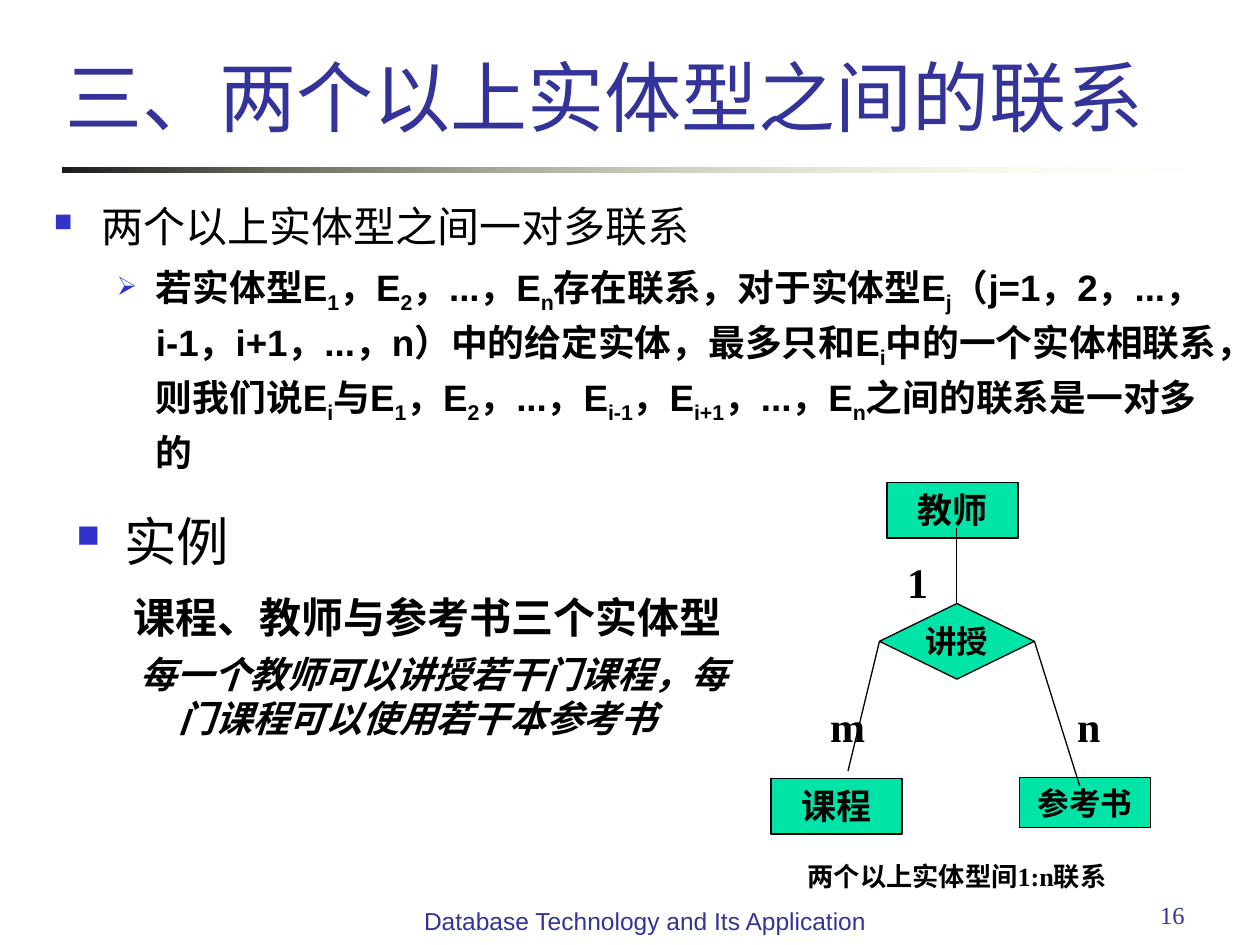
from dataclasses import dataclass

from lxml import etree
from pptx import Presentation
from pptx.dml.color import RGBColor
from pptx.enum.shapes import MSO_CONNECTOR, MSO_SHAPE
from pptx.enum.text import MSO_ANCHOR, MSO_AUTO_SIZE, PP_ALIGN
from pptx.oxml.ns import qn
from pptx.util import Inches, Pt

RECT, DIAMOND = MSO_SHAPE.RECTANGLE, MSO_SHAPE.DIAMOND
STRAIGHT = MSO_CONNECTOR.STRAIGHT
LEFT, CENTER, RIGHT = PP_ALIGN.LEFT, PP_ALIGN.CENTER, PP_ALIGN.RIGHT
TOP, MIDDLE, BOTTOM = MSO_ANCHOR.TOP, MSO_ANCHOR.MIDDLE, MSO_ANCHOR.BOTTOM
FIXED = MSO_AUTO_SIZE.NONE

COLUMNS, ROWS = 100, 75
PAGE_WIDTH, PAGE_HEIGHT = Inches(10), Inches(7.5)


@dataclass(frozen=True)
class Theme:
    sans: str = "Arial"
    serif: str = "Times New Roman"
    heading: str = "333399"
    bullet: str = "3333CC"
    ink: str = "000000"
    node: str = "00E4A8"
    rule_start: str = "1C1C1C"
    rule_end: str = "FFFFB7"
    title: int = 44
    example: int = 30
    topic: int = 24
    detail: int = 21
    entity: int = 20
    small_entity: int = 18
    caption: int = 15
    footer: int = 14


THEME = Theme()


@dataclass(frozen=True)
class Box:
    left: float
    top: float
    width: float
    height: float

    def inner(self, left, top, width, height):
        return Box(self.left + left, self.top + top, width, height)

    def place(self):
        return (across(self.left), down(self.top),
                across(self.width), down(self.height))


def across(columns):
    return int(PAGE_WIDTH * columns / COLUMNS)


def down(rows):
    return int(PAGE_HEIGHT * rows / ROWS)


def color(value):
    return RGBColor.from_string(value)


def add_span(para, text, size, font=THEME.sans, ink=THEME.ink,
             bold=False, italic=False, baseline=0):
    span = para.add_run()
    span.text = text
    span.font.name, span.font.size = font, Pt(size)
    span.font.bold, span.font.italic = bold, italic
    span.font.color.rgb = color(ink)
    if baseline:
        span.font._element.set("baseline", str(baseline * 1000))


def format_para(para, margin, indent, before, spacing=1.0, level=0):
    para.level = level
    para.space_before, para.line_spacing = Pt(before), spacing
    props = para._p.get_or_add_pPr()
    props.set("marL", str(across(margin)))
    props.set("indent", str(across(indent)))


def add_bullet(para, mark, percent):
    props = para._p.get_or_add_pPr()
    paint = etree.SubElement(props, qn("a:buClr"))
    etree.SubElement(paint, qn("a:srgbClr"), val=THEME.bullet)
    etree.SubElement(props, qn("a:buSzPct"), val=str(percent * 1000))
    etree.SubElement(props, qn("a:buChar"), char=mark)


def add_frame(shapes, box):
    frame = shapes.add_textbox(*box.place()).text_frame
    frame.word_wrap = True
    return frame


def add_label(shapes, box, text, size, align=LEFT, wrap=True, **style):
    frame = add_frame(shapes, box)
    frame.word_wrap = wrap
    frame.paragraphs[0].alignment = align
    add_span(frame.paragraphs[0], text, size, **style)


def add_node(shapes, kind, box, text, size):
    node = shapes.add_shape(kind, *box.place())
    node.shadow.inherit = False
    node.fill.solid()
    node.fill.fore_color.rgb = color(THEME.node)
    node.line.color.rgb, node.line.width = color(THEME.ink), Pt(0.75)
    frame = node.text_frame
    frame.word_wrap = kind == RECT
    frame.vertical_anchor = TOP if kind == RECT else MIDDLE
    frame.paragraphs[0].alignment = CENTER
    add_span(frame.paragraphs[0], text, size, font=THEME.serif, bold=True)


def add_link(shapes, box, start, end):
    link = shapes.add_connector(
        STRAIGHT,
        across(box.left + start[0]), down(box.top + start[1]),
        across(box.left + end[0]), down(box.top + end[1]))
    link.line.color.rgb, link.line.width = color(THEME.ink), Pt(0.75)
    etree.SubElement(link._element.spPr, qn("a:effectLst"))


def draw_rule(page, box):
    rule = page.shapes.add_shape(RECT, *box.place())
    rule.shadow.inherit = False
    rule.line.fill.background()
    rule.fill.gradient()
    rule.fill.gradient_angle = 0
    first, last = rule.fill.gradient_stops
    first.position, last.position = 0, 1
    first.color.rgb = color(THEME.rule_start)
    last.color.rgb = color(THEME.rule_end)
    fade = rule._element.spPr.findall(".//" + qn("a:srgbClr"))[-1]
    etree.SubElement(fade, qn("a:alpha"), val="0")


def draw_title(page, box):
    title = page.shapes.title
    title.left, title.top, title.width, title.height = box.place()
    frame = title.text_frame
    frame.auto_size, frame.vertical_anchor = FIXED, BOTTOM
    frame.paragraphs[0].alignment = LEFT
    add_span(frame.paragraphs[0], "三、两个以上实体型之间的联系",
             THEME.title, ink=THEME.heading)


def draw_definition(page, box):
    frame = add_frame(page.shapes, box)
    topic, detail = frame.paragraphs[0], frame.add_paragraph()
    format_para(topic, 3.8, -3.8, 6, 1.1)
    add_bullet(topic, "■", 60)
    add_span(topic, "两个以上实体型之间一对多联系", THEME.topic)
    format_para(detail, 8.1, -3.1, 5.2, 1.1, level=1)
    add_bullet(detail, "➢", 70)
    marked = ("若实体型E_1_，E_2_，...，E_n_存在联系，对于实体型E_j_"
              "（j=1，2，...，i-1，i+1，...，n）中的给定实体，最多只和E_i_"
              "中的一个实体相联系，则我们说E_i_与E_1_，E_2_，...，E_i-1_"
              "，E_i+1_，...，E_n_之间的联系是一对多的")
    for index, text in enumerate(marked.split("_")):
        add_span(detail, text, THEME.detail, bold=True,
                 baseline=-25 if index % 2 else 0)


def draw_example(page, box):
    frame = add_frame(page.shapes, box)
    heading = frame.paragraphs[0]
    topic, detail = frame.add_paragraph(), frame.add_paragraph()
    format_para(heading, 3.8, -3.8, 7.5)
    add_bullet(heading, "■", 60)
    add_span(heading, "实例", THEME.example, font=THEME.serif)
    format_para(topic, 4.5, 0, 11)
    add_span(topic, "课程、教师与参考书三个实体型", THEME.topic,
             font=THEME.serif, bold=True)
    format_para(detail, 8.1, -3.1, 6, level=1)
    add_span(detail, "每一个教师可以讲授若干门课程，每门课程可以使用若干本参考书",
             THEME.detail, bold=True, italic=True)


def draw_diagram(page, box):
    shapes = page.shapes.add_group_shape().shapes
    for kind, place, text, size in (
            (RECT, (11, 0, 10.4, 4.4), "教师", THEME.entity),
            (DIAMOND, (10.4, 9.6, 12.3, 6), "讲授", THEME.small_entity),
            (RECT, (1.8, 23.5, 10.4, 4.4), "课程", THEME.entity),
            (RECT, (21.5, 23.4, 10.4, 4), "参考书", THEME.small_entity)):
        add_node(shapes, kind, box.inner(*place), text, size)
    for start, end in (((16.5, 9.6), (16.5, 3.6)),
                       ((10.4, 12.6), (7.9, 22.9)),
                       ((22.7, 12.6), (26.3, 24.1))):
        add_link(shapes, box, start, end)
    for left, top, text in ((11.6, 5.4, "1"), (5.5, 16.8, "m"), (25.1, 16.8, "n")):
        add_label(shapes, box.inner(left, top, 3.1, 5), text, THEME.topic,
                  wrap=True, font=THEME.serif, bold=True)
    add_label(shapes, box.inner(0, 29.5, 33.1, 3.5), "两个以上实体型间1:n联系",
              THEME.caption, CENTER, font=THEME.serif, bold=True)


def draw_footer(page, box):
    add_label(page.shapes, box.inner(39.8, 0, 23.3, 5.2), "16", THEME.footer,
              RIGHT, font=THEME.serif, ink=THEME.heading)
    add_label(page.shapes, box.inner(0, 0.5, 38.6, 5.2),
              "Database Technology and Its Application", THEME.footer,
              CENTER, ink=THEME.heading)


def main():
    deck = Presentation()
    deck.slide_width, deck.slide_height = PAGE_WIDTH, PAGE_HEIGHT
    page = deck.slides.add_slide(deck.slide_layouts[5])
    draw_rule(page, Box(5, 13.3, 90, 0.4))
    draw_title(page, Box(4.2, 0, 87.8, 11.8))
    draw_definition(page, Box(3.3, 15, 94.6, 23.8))
    draw_example(page, Box(5.1, 39.9, 55.4, 30.1))
    draw_diagram(page, Box(59.4, 38.3, 33.1, 33))
    draw_footer(page, Box(31.9, 70.9, 63.1, 5.7))
    deck.save("out.pptx")


if __name__ == "__main__":
    main()
